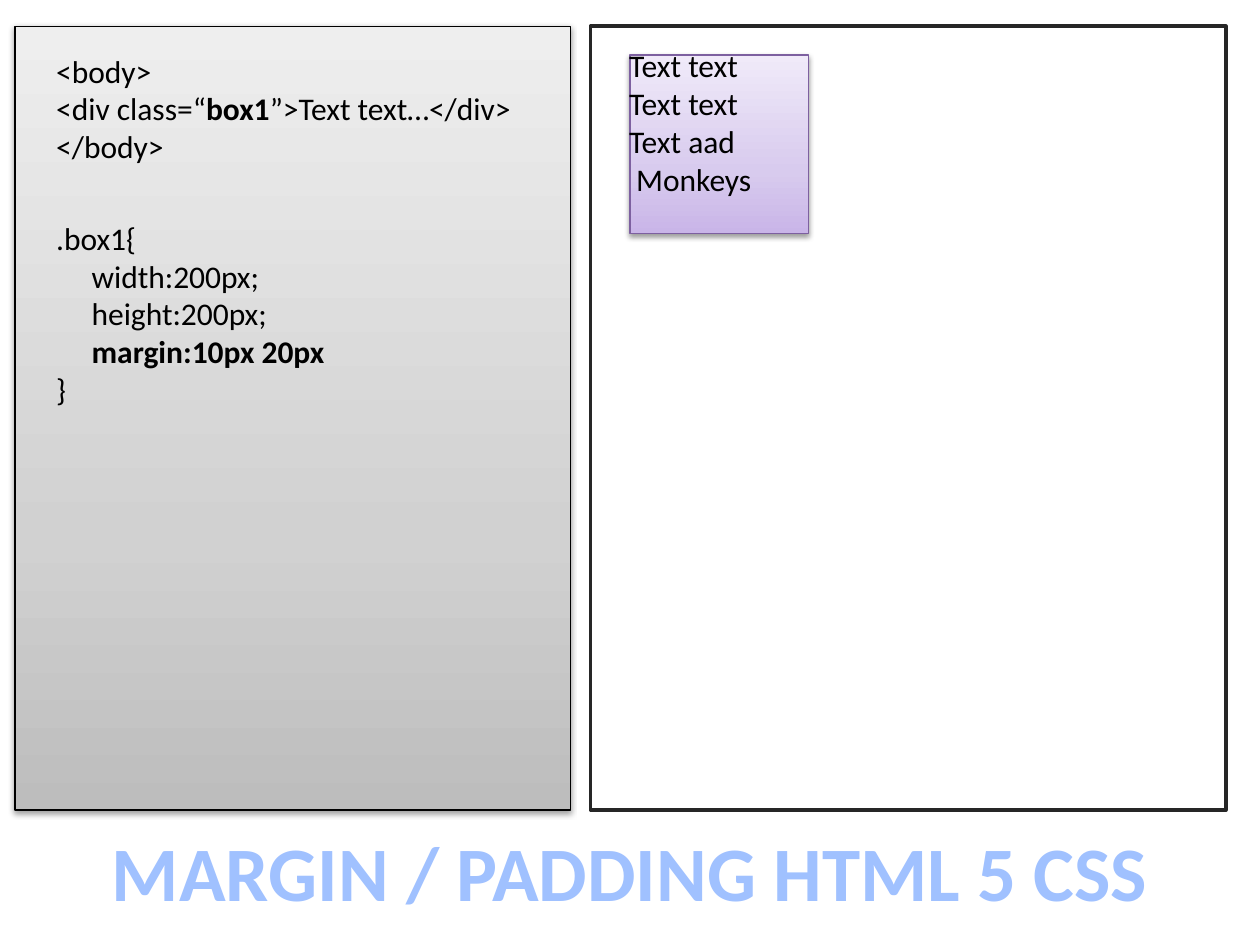
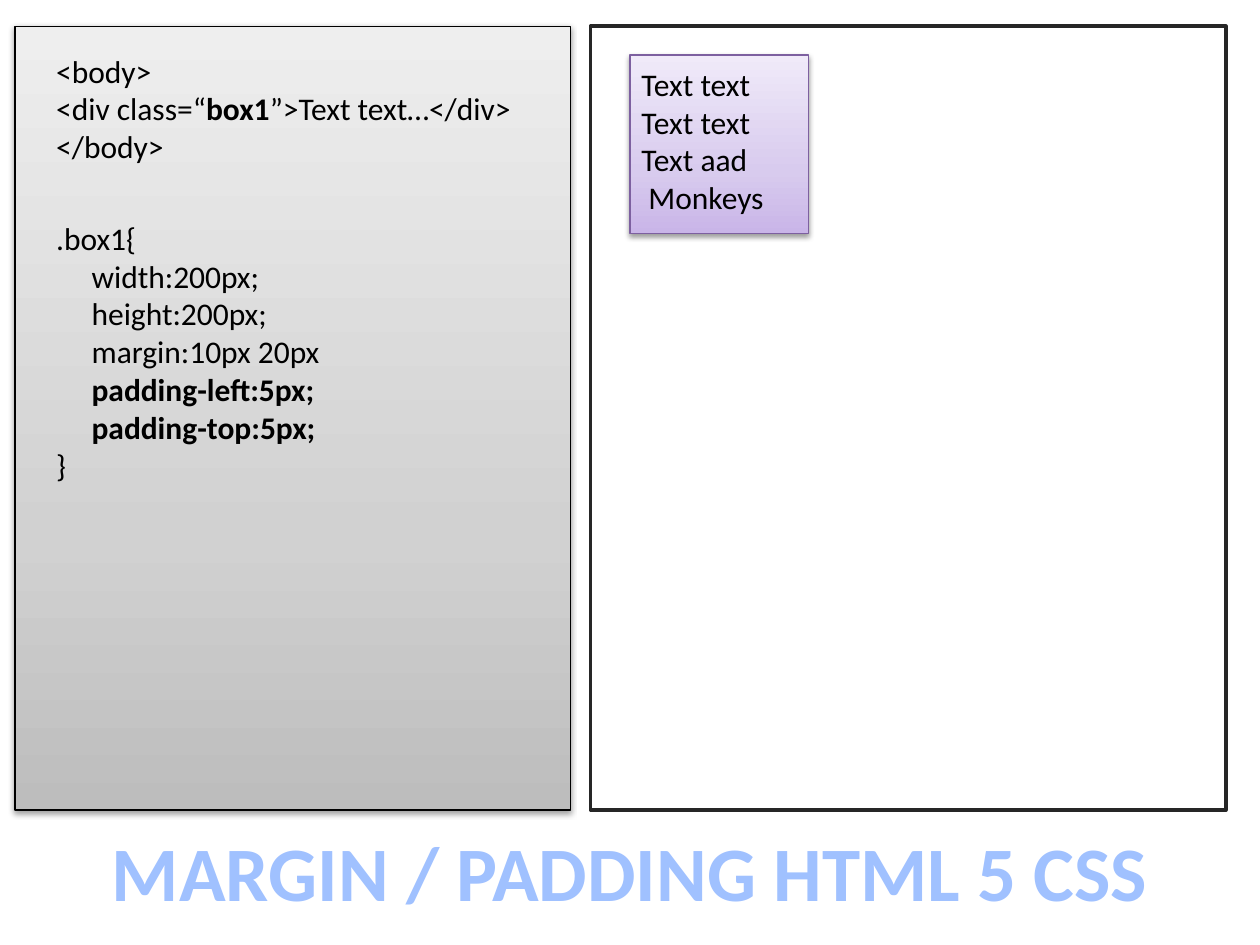
from copy import deepcopy

from pptx import Presentation
from pptx.dml.color import RGBColor
from pptx.enum.shapes import MSO_SHAPE as SHAPE
from pptx.enum.text import MSO_ANCHOR as ANCHOR, MSO_AUTO_SIZE as AUTO_SIZE, PP_ALIGN as ALIGN
from pptx.oxml import parse_xml
from pptx.oxml.ns import nsdecls, qn
from pptx.util import Pt

BLACK = RGBColor(0x00, 0x00, 0x00)
WHITE = RGBColor(0xFF, 0xFF, 0xFF)
CHARCOAL = RGBColor(0x26, 0x26, 0x26)
PURPLE = RGBColor(0x7D, 0x60, 0xA0)
SKY_BLUE = RGBColor(0xA0, 0xC1, 0xFF)
GREYS = [RGBColor(0xBD, 0xBD, 0xBD), RGBColor(0xD1, 0xD1, 0xD1), RGBColor(0xEE, 0xEE, 0xEE)]
LILACS = [RGBColor(0xC9, 0xB5, 0xE8), RGBColor(0xD8, 0xCB, 0xEE), RGBColor(0xF0, 0xEA, 0xF9)]
STOP_POSITIONS = [0, 0.35, 1]

TITLE = "MARGIN / PADDING HTML 5 CSS"
TITLE_FONT = {"name": "Calibri", "size": Pt(44), "bold": True}
TEXT_FONT = {"name": "Calibri", "size": Pt(18)}
CODE_INDENT = 20.3
SPACE_WIDTH = 4

PANEL_TOP, PANEL_HEIGHT = 15, 448
CODE_LEFT = 25
BOX_SIDE = 102

# A line is its left indent followed by (text, bold) runs.
HTML_LINES = [
    (0, ("<body>", False)),
    (0, ("<div class=“", False), ("box1", True), ("”>Text text…</div>", False)),
    (0, ("</body>", False)),
]
SAMPLE_LINES = [
    (0, ("Text text", False)),
    (0, ("Text text", False)),
    (0, ("Text aad", False)),
    (SPACE_WIDTH, ("Monkeys", False)),
]
SIZE_RULES = [("width:200px;", False), ("height:200px;", False)]
MARGIN_RULE = "margin:10px 20px"
PADDING_RULES = [("padding-left:5px;", True), ("padding-top:5px;", True)]


def set_format(target, values):
    for attribute, value in values.items():
        setattr(target, attribute, value)


def add_panel(slide, left, top, width, height, line_color, line_width):
    panel = slide.shapes.add_shape(SHAPE.RECTANGLE, Pt(left), Pt(top), Pt(width), Pt(height))
    panel.shadow.inherit = False
    panel.line.color.rgb = line_color
    panel.line.width = Pt(line_width)
    return panel


def fill_upward(panel, colors):
    """Fill with a three-colour gradient that runs from bottom to top."""
    panel.fill.gradient()
    panel.fill.gradient_angle = 90
    stop_list = panel._element.spPr.find(".//" + qn("a:gsLst"))
    stop_list.append(deepcopy(stop_list[0]))
    for stop, position, color in zip(panel.fill.gradient_stops, STOP_POSITIONS, colors):
        stop.position = position
        stop.color.rgb = color


def add_soft_shadow(panel):
    effects = panel._element.spPr.find(qn("a:effectLst"))
    effects.append(parse_xml(
        f'<a:outerShdw {nsdecls("a")} blurRad="40000" dist="20000" dir="5400000" '
        'rotWithShape="0"><a:srgbClr val="000000"><a:alpha val="38000"/></a:srgbClr>'
        '</a:outerShdw>'))


def add_raised_panel(slide, left, top, width, height, line_color, colors):
    panel = add_panel(slide, left, top, width, height, line_color, 0.75)
    fill_upward(panel, colors)
    add_soft_shadow(panel)


def add_lines(slide, left, top, width, height, lines):
    box = slide.shapes.add_textbox(Pt(left), Pt(top), Pt(width), Pt(height))
    frame = box.text_frame
    set_format(frame, {"word_wrap": True, "auto_size": AUTO_SIZE.SHAPE_TO_FIT_TEXT})
    for number, (indent, *runs) in enumerate(lines):
        paragraph = frame.add_paragraph() if number else frame.paragraphs[0]
        paragraph.alignment = ALIGN.LEFT
        if indent:
            paragraph._p.get_or_add_pPr().set("marL", str(Pt(indent)))
        for text, bold in runs:
            run = paragraph.add_run()
            run.text = text
            set_format(run.font, TEXT_FONT | {"bold": bold})
            run.font.color.rgb = BLACK


def add_title(slide):
    title = slide.shapes.title
    set_format(title, {"left": Pt(54), "top": Pt(467.5), "width": Pt(612.5), "height": Pt(60.5)})
    frame = title.text_frame
    frame.text = TITLE
    set_format(frame, {"word_wrap": False, "auto_size": AUTO_SIZE.NONE,
                       "vertical_anchor": ANCHOR.TOP})
    paragraph = frame.paragraphs[0]
    paragraph.alignment = ALIGN.CENTER
    font = paragraph.runs[0].font
    set_format(font, TITLE_FONT)
    font.color.rgb = SKY_BLUE


def css_lines(rules):
    return [(0, (".box1{", False)),
            *((CODE_INDENT, rule) for rule in rules),
            (0, ("}", False))]


def add_lesson(deck, html_width, rules, sample_left, sample_top):
    """Add a slide with the code on the left and its result on the right."""
    slide = deck.slides.add_slide(deck.slide_layouts.get_by_name("Title Only"))
    add_title(slide)

    add_raised_panel(slide, 8.5, PANEL_TOP, 317.5, PANEL_HEIGHT, BLACK, GREYS)
    add_lines(slide, CODE_LEFT, 26, html_width, 73, HTML_LINES)
    css = css_lines(rules)
    add_lines(slide, CODE_LEFT, 121.5, 249, 7 + 22 * len(css), css)

    browser = add_panel(slide, 337.5, PANEL_TOP, 363, PANEL_HEIGHT, CHARCOAL, 2)
    browser.fill.solid()
    browser.fill.fore_color.rgb = WHITE
    add_raised_panel(slide, 360, 31.5, BOX_SIDE, BOX_SIDE, PURPLE, LILACS)
    add_lines(slide, sample_left, sample_top, BOX_SIDE, 94.5, SAMPLE_LINES)


def main():
    deck = Presentation()
    set_format(deck, {"slide_width": Pt(720), "slide_height": Pt(540)})
    add_lesson(deck, 284, [*SIZE_RULES, (MARGIN_RULE, True)], 352.5, 23)
    add_lesson(deck, 300, [*SIZE_RULES, (MARGIN_RULE, False), *PADDING_RULES], 359.5, 33.5)
    deck.save("out.pptx")


if __name__ == "__main__":
    main()
